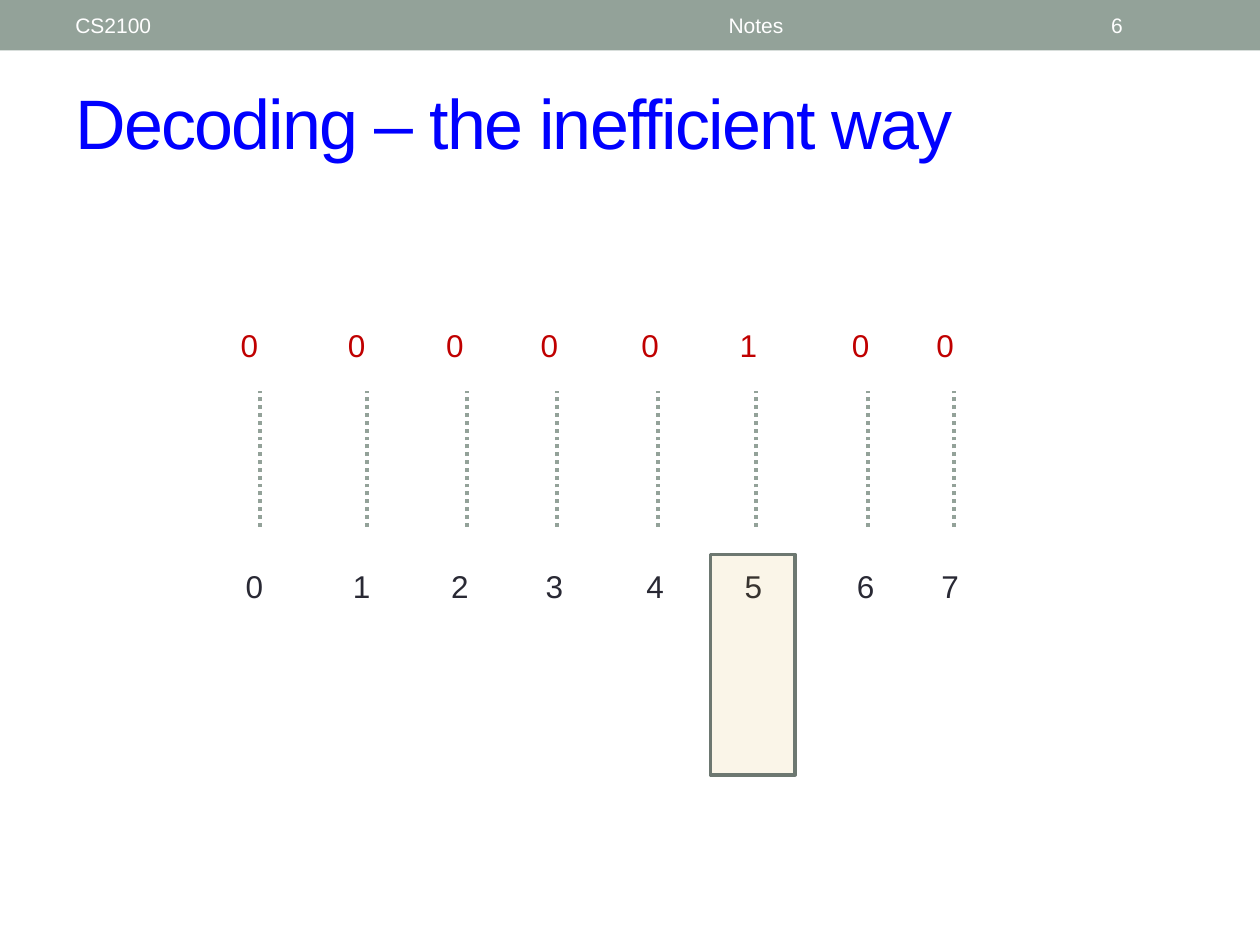
from dataclasses import dataclass

from lxml import etree
from pptx import Presentation
from pptx import util as u
from pptx.dml.color import RGBColor
from pptx.enum import dml, shapes, text
from pptx.oxml.ns import qn


@dataclass(frozen=True)
class Theme:
    font: str = "Arial"
    band: str = "93A299"
    header_text: str = "FFFFFF"
    title: str = "0000FF"
    index: str = "292934"
    bit: str = "C00000"
    highlight: str = "CC9900"
    highlight_edge: str = "6D7871"
    header_size: float = 12
    title_size: float = 40
    digit_size: float = 18


@dataclass(frozen=True)
class Box:
    left: float
    top: float
    width: float
    height: float

    def lengths(self) -> list[u.Length]:
        return [u.Inches(v) for v in (self.left, self.top, self.width, self.height)]


@dataclass(frozen=True)
class Line:
    index: str
    bit: str
    left: float
    wire: float


THEME = Theme()
CENTER = text.PP_ALIGN.CENTER
LEFT = text.PP_ALIGN.LEFT
MIDDLE = text.MSO_ANCHOR.MIDDLE
TOP = text.MSO_ANCHOR.TOP

OUTPUT_LINES = [
    Line("0", "0", 1.81, 2.06),
    Line("1", "0", 2.66, 2.91),
    Line("2", "0", 3.44, 3.71),
    Line("3", "0", 4.19, 4.42),
    Line("4", "0", 4.99, 5.22),
    Line("5", "1", 5.77, 6),
    Line("6", "0", 6.66, 6.89),
    Line("7", "0", 7.33, 7.57),
]
DIGIT_WIDTH, DIGIT_HEIGHT = 0.42, 0.4
INDEX_TOP, BIT_TOP = 4.45, 2.54
BIT_SHIFT = 0.04
WIRE_TOP, WIRE_BOTTOM = 3.1, 4.18


def add_text(parent, box: Box, words: str, size: float, color: str,
             align=LEFT, anchor=MIDDLE, spacing: float = 0) -> None:
    frame = parent.add_textbox(*box.lengths()).text_frame
    frame.word_wrap = True
    frame.vertical_anchor = anchor
    paragraph = frame.paragraphs[0]
    paragraph.alignment = align
    run = paragraph.add_run()
    run.text = words
    run.font.name = THEME.font
    run.font.size = u.Pt(size)
    run.font.color.rgb = RGBColor.from_string(color)
    if spacing:
        run.font._element.set("spc", str(int(spacing * 100)))


def add_digit(parent, left: float, top: float, digit: str, color: str) -> None:
    box = Box(left, top, DIGIT_WIDTH, DIGIT_HEIGHT)
    add_text(parent, box, digit, THEME.digit_size, color, CENTER, TOP)


def add_wire(parent, x: float) -> None:
    wire = parent.add_connector(
        shapes.MSO_CONNECTOR.STRAIGHT,
        u.Inches(x), u.Inches(WIRE_BOTTOM), u.Inches(x), u.Inches(WIRE_TOP))
    wire.line.color.rgb = RGBColor.from_string(THEME.band)
    wire.line.width = u.Pt(2.25)
    wire.line.dash_style = dml.MSO_LINE.ROUND_DOT
    etree.SubElement(wire._element.spPr, qn("a:effectLst"))


def add_rectangle(parent, box: Box, fill: str):
    rectangle = parent.add_shape(shapes.MSO_SHAPE.RECTANGLE, *box.lengths())
    rectangle.shadow.inherit = False
    rectangle.fill.solid()
    rectangle.fill.fore_color.rgb = RGBColor.from_string(fill)
    rectangle.line.fill.background()
    return rectangle


def add_highlight(parent, box: Box) -> None:
    highlight = add_rectangle(parent, box, THEME.highlight)
    color = highlight._element.spPr.find(qn("a:solidFill")).find(qn("a:srgbClr"))
    etree.SubElement(color, qn("a:alpha")).set("val", "9000")
    highlight.line.color.rgb = RGBColor.from_string(THEME.highlight_edge)
    highlight.line.width = u.Pt(2.08)


def add_header(parent) -> None:
    add_rectangle(parent, Box(0, 0, 10, 0.4), THEME.band)
    for words, left, width, align in (
        ("CS2100", 0.5, 3.17, LEFT),
        ("Notes", 3.75, 4.5, CENTER),
        ("6", 8.72, 0.78, LEFT),
    ):
        add_text(parent, Box(left, 0.02, width, 0.36), words,
                 THEME.header_size, THEME.header_text, align)


def main() -> None:
    deck = Presentation()
    deck.slide_width, deck.slide_height = u.Inches(10), u.Inches(7.5)
    canvas = deck.slides.add_slide(deck.slide_layouts[6]).shapes

    add_header(canvas)
    add_text(canvas, Box(0.5, 0.58, 9, 0.77), "Decoding – the inefficient way",
             THEME.title_size, THEME.title, spacing=-1)

    indices, wires, bits = (canvas.add_group_shape().shapes for _ in range(3))
    for line in OUTPUT_LINES:
        add_digit(indices, line.left, INDEX_TOP, line.index, THEME.index)
        add_wire(wires, line.wire)
        add_digit(bits, line.left - BIT_SHIFT, BIT_TOP, line.bit, THEME.bit)

    add_highlight(canvas, Box(5.64, 4.4, 0.67, 1.75))
    deck.save("out.pptx")


if __name__ == "__main__":
    main()
